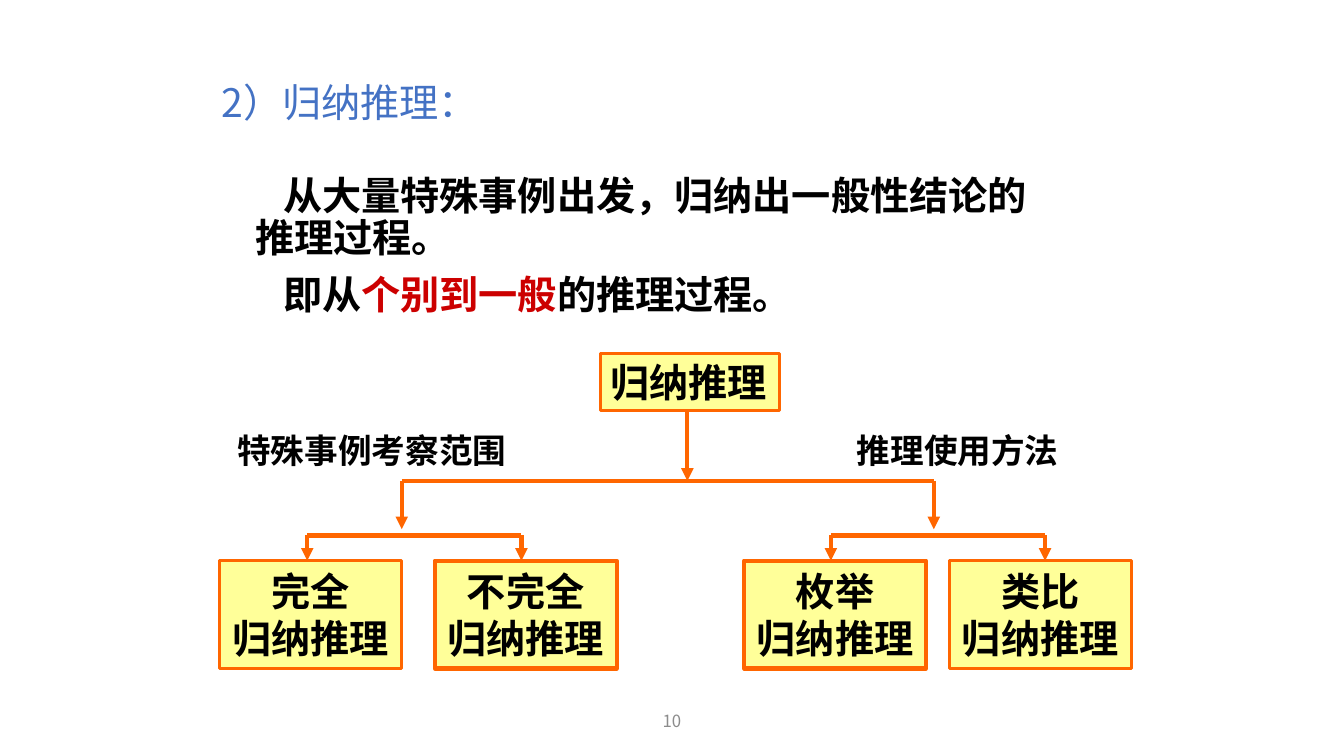
from dataclasses import dataclass
from lxml.etree import SubElement as Sub
from pptx import Presentation
from pptx.dml.color import RGBColor as Rgb
from pptx.enum.shapes import MSO_CONNECTOR as Link, MSO_SHAPE as Form
from pptx.enum.text import MSO_ANCHOR as Anchor, MSO_AUTO_SIZE as Fit, PP_ALIGN as Align
from pptx.oxml.ns import qn
from pptx.util import Pt


@dataclass(frozen=True)
class Theme:
    font: str = "Noto Sans CJK SC"
    blue: str = "4472C4"
    black: str = "000000"
    red: str = "CC0000"
    gray: str = "8C8C8C"
    fill: str = "FFFF99"
    line: str = "FF6600"
    large: int = 28
    mid: int = 24
    small: int = 12
    thin: float = 2.25
    thick: float = 3


T = Theme()


def put(para, text, size=T.large, color=T.black, bold=True, align=None):
    """Add a formatted run to a paragraph."""
    run = para.add_run()
    run.text = text
    font = run.font
    font.size, font.bold, font.name = Pt(size), bold, T.font
    font.color.rgb = Rgb.from_string(color)
    Sub(run._r.get_or_add_rPr(), qn("a:ea"), typeface=T.font)
    if align is not None:
        para.alignment = align


def place(shape, left, top, width, height):
    shape.left, shape.top = Pt(left), Pt(top)
    shape.width, shape.height = Pt(width), Pt(height)


def label(shapes, box, text, wrap=False, anchor=Anchor.TOP, **form):
    frame = shapes.add_textbox(*map(Pt, box)).text_frame
    frame.word_wrap, frame.vertical_anchor = wrap, anchor
    put(frame.paragraphs[0], text, **form)


def node(shapes, box, lines, weight=T.thin, align=Align.CENTER):
    """Draw a bordered box with one paragraph for each line."""
    shape = shapes.add_shape(Form.RECTANGLE, *map(Pt, box))
    shape.shadow.inherit = False
    shape.fill.solid()
    shape.fill.fore_color.rgb = Rgb.from_string(T.fill)
    shape.line.color.rgb = Rgb.from_string(T.line)
    shape.line.width = Pt(weight)
    frame = shape.text_frame
    frame.word_wrap = False
    for i, text in enumerate(lines):
        para = frame.add_paragraph() if i else frame.paragraphs[0]
        put(para, text, align=align)


def link(shapes, start, end, arrow=True):
    line = shapes.add_connector(Link.STRAIGHT, *map(Pt, (*start, *end)))
    line.line.color.rgb = Rgb.from_string(T.line)
    line.line.width = Pt(T.thick)
    if arrow:
        Sub(line.line._get_or_add_ln(), qn("a:tailEnd"), type="triangle")
    Sub(line._element.spPr, qn("a:effectLst"))


def fork(shapes, left, right, top, drop):
    """Draw a bar with an arrow down from each end."""
    link(shapes, (left, top), (right, top), arrow=False)
    for x in (left, right):
        link(shapes, (x, top), (x, top + drop))


def title(slide, box):
    shape = slide.shapes.title
    place(shape, *box)
    frame = shape.text_frame
    frame.auto_size, frame.vertical_anchor = Fit.NONE, Anchor.MIDDLE
    para = frame.paragraphs[0]
    para.line_spacing = 0.9
    put(para, "2）归纳推理：", color=T.blue, bold=False, align=Align.LEFT)


def body(slide, box):
    shape = slide.placeholders[1]
    place(shape, *box)
    frame = shape.text_frame
    frame.auto_size = Fit.NONE
    texts = (
        [("从大量特殊事例出发，归纳出一般性结论的推理过程。", T.black)],
        [("即从", T.black), ("个别到一般", T.red), ("的推理过程。", T.black)],
    )
    for i, runs in enumerate(texts):
        para = frame.add_paragraph() if i else frame.paragraphs[0]
        para.line_spacing, para.space_before = 0.9, Pt(10)
        props = para._p.get_or_add_pPr()
        props.set("marL", str(Pt(18)))
        props.set("indent", str(Pt(20)))
        Sub(props, qn("a:buNone"))
        for text, color in runs:
            put(para, text, color=color)


def tree(slide, box):
    """Draw the root, its two branches and their four leaves."""
    shapes = slide.shapes
    left, top, width, height = box
    wide, tall = 130, 77
    base = top + height - tall
    node(shapes, (left + 272, top, 128, 41), ["归纳推理"], align=Align.LEFT)
    leaves = (
        (0, "完全", T.thin),
        (153.5, "不完全", T.thick),
        (374.5, "枚举", T.thick),
        (width - wide, "类比", T.thin),
    )
    for x, name, weight in leaves:
        node(shapes, (left + x, base, wide, tall), [name, "归纳推理"], weight)
    for x in (62.5, 436.5):
        fork(shapes, left + x, left + x + 153, base - 18, 18)
    bar = top + 91
    fork(shapes, left + 130, left + 510, bar, 34.5)
    link(shapes, (left + 334, top + 40), (left + 334, bar))
    for x, w, text in ((5.5, 207.5, "特殊事例考察范围"), (448, 159, "推理使用方法")):
        label(shapes, (left + x, top + 51, w, 36), text, size=T.mid)


def main():
    deck = Presentation()
    deck.slide_width, deck.slide_height = Pt(960), Pt(540)
    slide = deck.slides.add_slide(deck.slide_layouts[1])
    title(slide, (151, 49, 648, 51))
    body(slide, (157, 122.5, 605, 339))
    tree(slide, (157, 252.5, 651, 225))
    label(slide.shapes, (318, 500.5, 324, 29), "10", wrap=True, anchor=Anchor.MIDDLE,
          size=T.small, color=T.gray, bold=False, align=Align.CENTER)
    deck.save("out.pptx")


if __name__ == "__main__":
    main()
